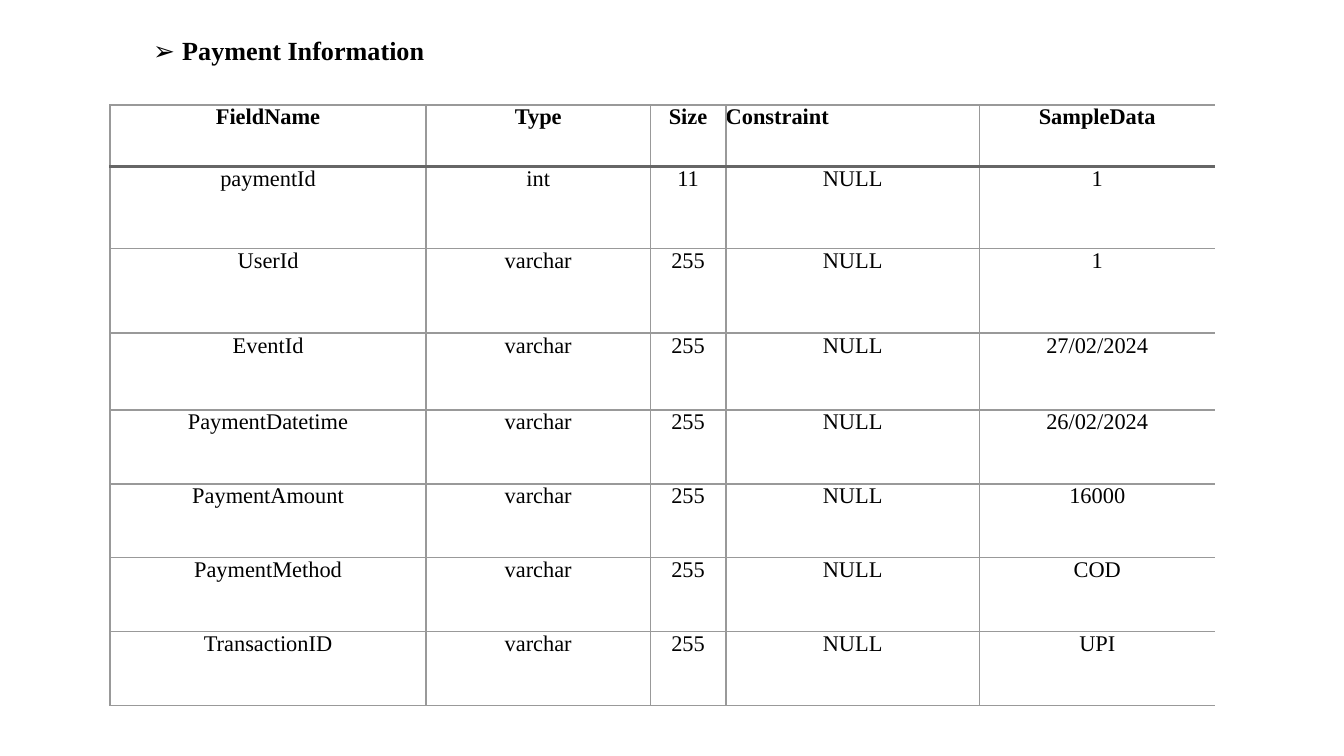
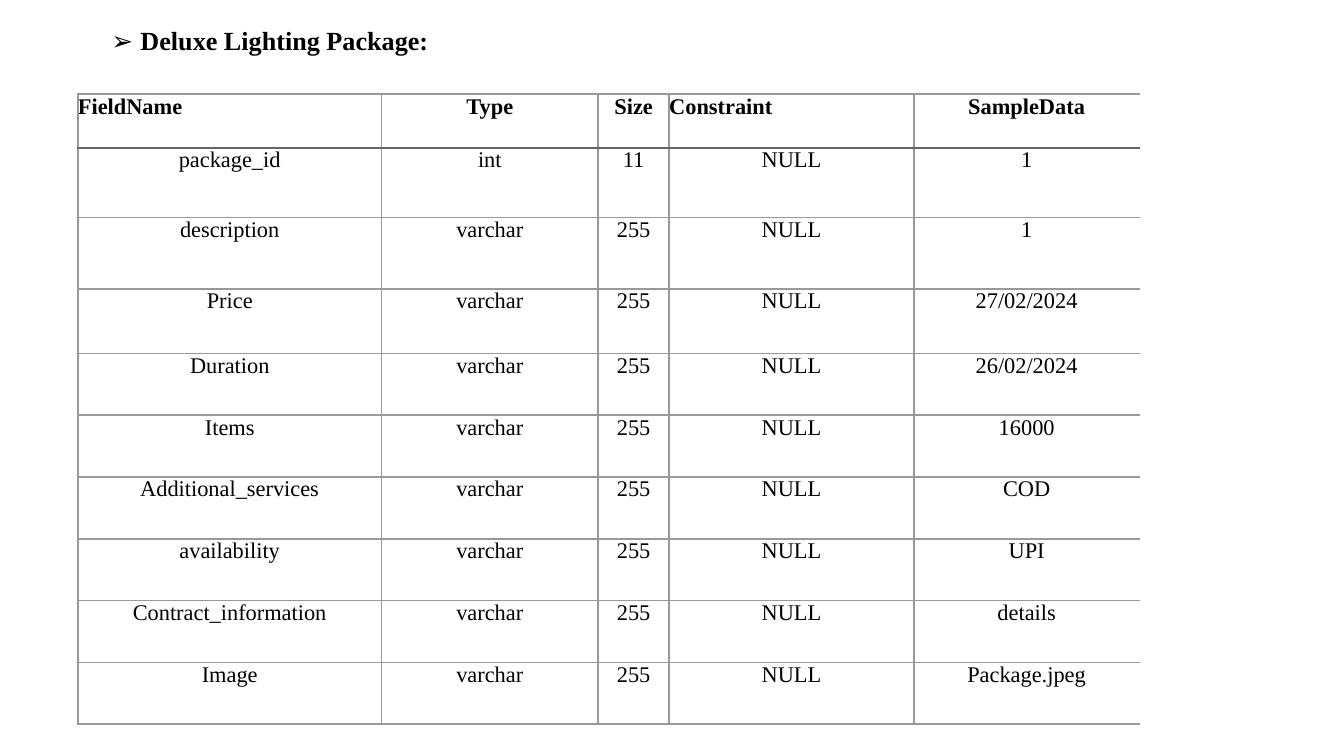
"""Build two data-dictionary slides, each a heading above a field table."""
from lxml import etree
from pptx import Presentation
from pptx.dml.color import RGBColor
from pptx.enum.text import PP_ALIGN as Align
from pptx.oxml.ns import qn
from pptx.util import Inches, Pt

BLACK = RGBColor(0x00, 0x00, 0x00)
GRID_GRAY = RGBColor(0x99, 0x99, 0x99)
HEADER_GRAY = RGBColor(0x66, 0x66, 0x66)
BODY_FONT = "Times New Roman"
MARKER_FONT = "Arial"

HEADERS = ["FieldName", "Type", "Size", "Constraint", "SampleData"]
SLIDES = [
    {
        "title": "Payment Information",
        "title_box": (1.04, 0.21, 6.29, 0.83),
        "title_indent": 0.25,
        "table_box": (0.82, 0.78, 8.22, 4.45),
        "columns": [2.35, 1.67, 0.56, 1.89, 1.75],
        "rows": [0.46, 0.61, 0.63, 0.57] + [0.55] * 4,
        "left_headers": ["Constraint"],
        "fields": ["paymentId", "UserId", "EventId", "PaymentDatetime",
                   "PaymentAmount", "PaymentMethod", "TransactionID"],
        "samples": ["1", "1", "27/02/2024", "26/02/2024", "16000", "COD", "UPI"],
    },
    {
        "title": "Deluxe Lighting Package:",
        "title_box": (0.73, 0.13, 6.04, 0.71),
        "title_indent": 0.29,
        "table_box": (0.58, 0.7, 7.9, 4.71),
        "columns": [2.26, 1.61, 0.53, 1.82, 1.68],
        "rows": [0.4, 0.52, 0.53, 0.48] + [0.46] * 6,
        "left_headers": ["FieldName", "Constraint"],
        "fields": ["package_id", "description", "Price", "Duration", "Items",
                   "Additional_services", "availability",
                   "Contract_information", "Image"],
        "samples": ["1", "1", "27/02/2024", "26/02/2024", "16000", "COD", "UPI",
                    "details", "Package.jpeg"],
    },
]


def add_border(cell, side, color, points):
    """Draw one cell edge, or hide it when color is None."""
    line = etree.SubElement(cell._tc.get_or_add_tcPr(), qn(f"a:ln{side}"))
    if color is None:
        etree.SubElement(line, qn("a:noFill"))
        return
    line.set("w", str(Pt(points)))
    fill = etree.SubElement(line, qn("a:solidFill"))
    etree.SubElement(fill, qn("a:srgbClr")).set("val", str(color))


presentation = Presentation()
presentation.slide_width = Inches(10)
presentation.slide_height = Inches(10 * 9 / 16)

for content in SLIDES:
    slide = presentation.slides.add_slide(presentation.slide_layouts[6])

    heading = slide.shapes.add_textbox(*map(Inches, content["title_box"]))
    heading.text_frame.word_wrap = True
    paragraph = heading.text_frame.paragraphs[0]
    properties = paragraph._p.get_or_add_pPr()
    properties.set("marL", str(Inches(content["title_indent"])))
    properties.set("indent", str(-Inches(content["title_indent"])))
    for text, font_name, bold in [("➢ ", MARKER_FONT, False),
                                  (content["title"], BODY_FONT, True)]:
        run = paragraph.add_run()
        run.text = text
        run.font.name = font_name
        run.font.size = Pt(14)
        run.font.bold = bold
        run.font.color.rgb = BLACK

    records = [HEADERS]
    for index, (field, sample) in enumerate(zip(content["fields"], content["samples"])):
        kind, size = ("int", "11") if index == 0 else ("varchar", "255")
        records.append([field, kind, size, "NULL", sample])

    frame = slide.shapes.add_table(len(records), len(HEADERS),
                                   *map(Inches, content["table_box"]))
    table = frame.table
    table.first_row = False
    table.horz_banding = False
    for column, width in zip(table.columns, content["columns"]):
        column.width = Inches(width)
    for row, height in zip(table.rows, content["rows"]):
        row.height = Inches(height)

    for row_index, record in enumerate(records):
        for column_index, text in enumerate(record):
            cell = table.cell(row_index, column_index)
            cell.margin_left = cell.margin_right = 0
            cell.margin_top = cell.margin_bottom = 0
            cell.text = text
            paragraph = cell.text_frame.paragraphs[0]
            is_left = row_index == 0 and text in content["left_headers"]
            paragraph.alignment = Align.LEFT if is_left else Align.CENTER
            paragraph.font.name = BODY_FONT
            paragraph.font.size = Pt(12)
            paragraph.font.bold = row_index == 0
            paragraph.font.color.rgb = BLACK

            is_last = column_index == len(HEADERS) - 1
            grid, rule = (GRID_GRAY, 1), (HEADER_GRAY, 1.5)
            add_border(cell, "L", *grid)
            add_border(cell, "R", None if is_last else GRID_GRAY, 1)
            add_border(cell, "T", *(rule if row_index == 1 else grid))
            add_border(cell, "B", *(rule if row_index == 0 else grid))
            cell.fill.background()

presentation.save("out.pptx")
